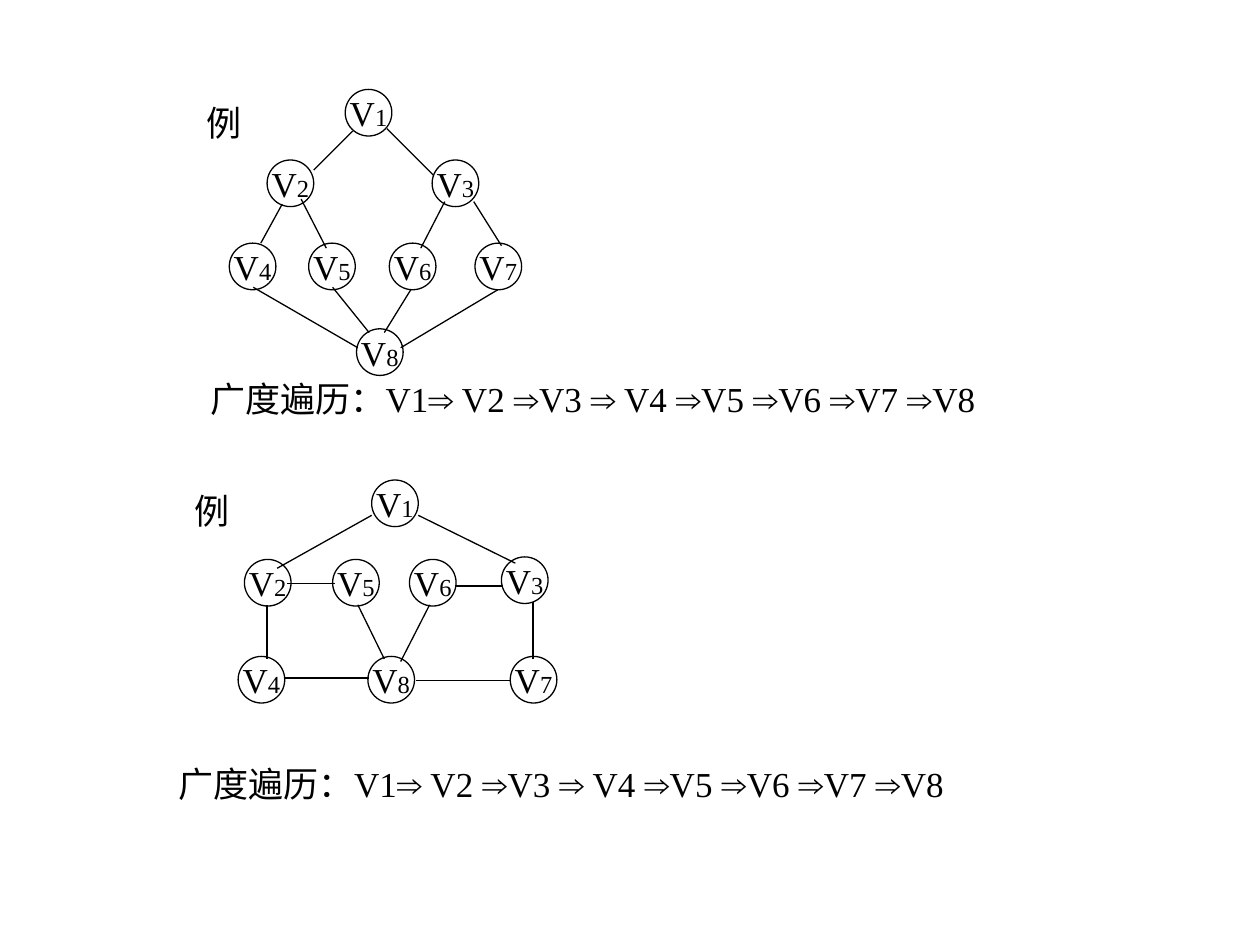
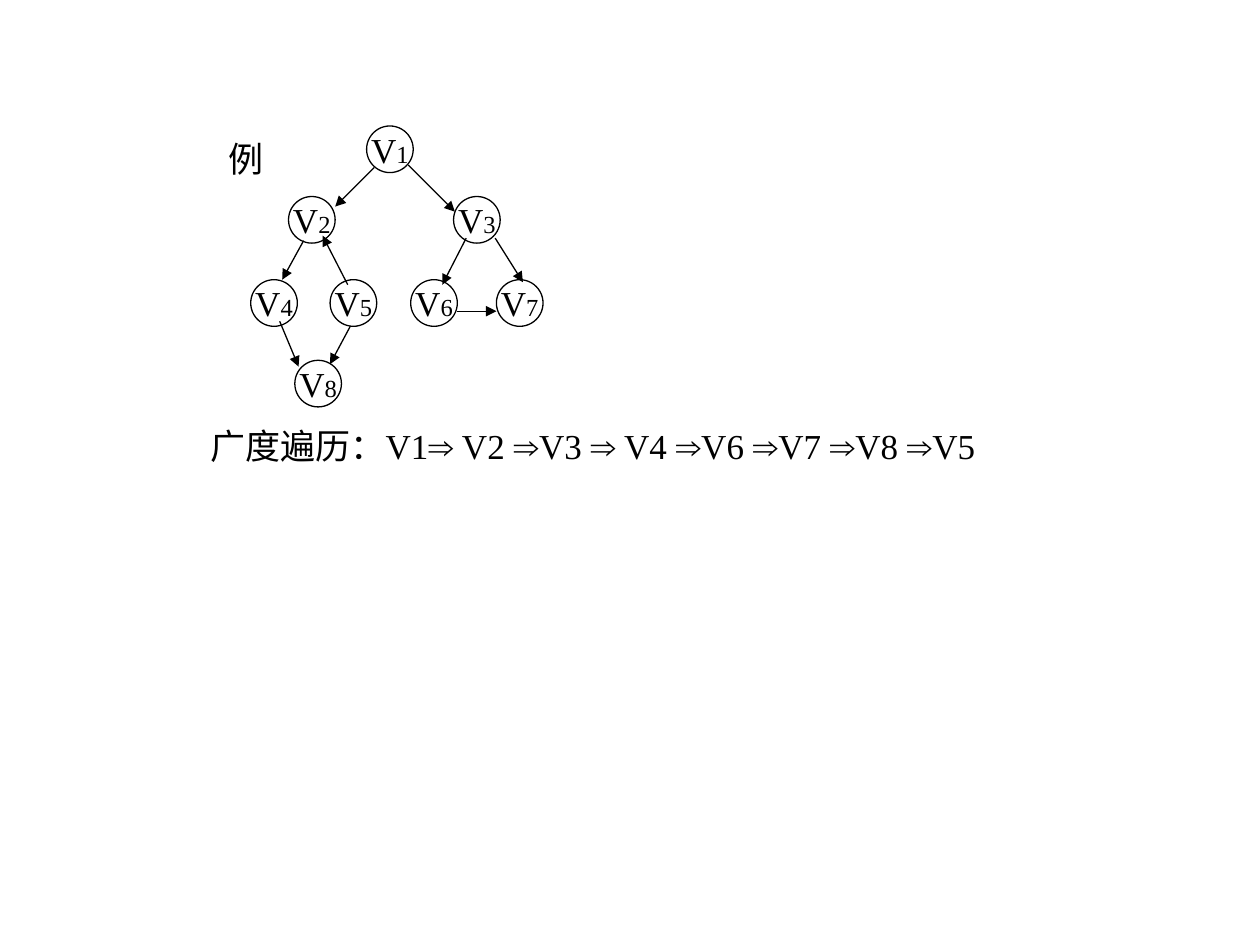
from pptx import Presentation, util as u
from pptx.dml.color import RGBColor
from pptx.enum import shapes, text
from pptx.oxml import ns
from lxml import etree

WIDTH, HEIGHT = u.Inches(10), u.Inches(7.5)
UNIT = WIDTH // 1000
INK = "000000"
SERIF, SYMBOL = "Times New Roman", "Arial"
NODE = 37
ARROW = "⇒"

TREE_NODES = {1: (120, 0), 2: (58, 56), 3: (189, 56), 4: (28, 122),
              5: (91, 122), 6: (155, 122), 7: (223, 122)}
TREE_EDGES = [(126, 33, 95, 64), (153, 31, 190, 68), (70, 91, 53, 122),
              (199, 89, 180, 126), (222, 89, 244, 124)]
V2_V5 = (85, 87, 105, 126)
V5_V2 = V2_V5[2:] + V2_V5[:2]

DIAMOND = dict(
    label=(0, 4),
    nodes={**TREE_NODES, 8: (129, 190)},
    edges=TREE_EDGES + [V2_V5, (110, 157, 139, 193), (172, 159, 151, 193),
                        (47, 157, 130, 205), (241, 159, 164, 205)])
MESH = dict(
    label=(0, 2),
    nodes={1: (151, 0), 2: (50, 63), 3: (254, 61), 4: (45, 140),
           5: (120, 63), 6: (181, 63), 7: (261, 140), 8: (148, 140)},
    edges=[(151, 28, 76, 70), (188, 28, 265, 66), (84, 82, 122, 82),
           (217, 84, 255, 84), (68, 99, 68, 142), (82, 157, 149, 157),
           (186, 159, 261, 159), (279, 97, 279, 142), (140, 99, 161, 142),
           (197, 99, 174, 144)])
DIRECTED = dict(
    label=(0, 4),
    nodes={**TREE_NODES, 8: (63, 186)},
    edges=TREE_EDGES + [V5_V2, (51, 155, 66, 191), (107, 159, 91, 189),
                        (192, 147, 223, 147)],
    arrows=True)

BFS = "广度遍历：V1⇒ V2 ⇒V3 ⇒ V4 ⇒V5 ⇒V6 ⇒V7 ⇒V8"
DIRECTED_BFS = "广度遍历：V1⇒ V2 ⇒V3 ⇒ V4 ⇒V6 ⇒V7 ⇒V8 ⇒V5"


def color(value):
    return RGBColor.from_string(value)


def units(*values):
    return [v * UNIT for v in values]


def write(sp, runs, align, anchor):
    tf = sp.text_frame
    tf.word_wrap = False
    tf.vertical_anchor = anchor
    p = tf.paragraphs[0]
    p.alignment = align
    p.font.size = u.Pt(20)
    p.font.color.rgb = color(INK)
    for content, name, size in runs:
        r = p.add_run()
        r.text = content
        r.font.name = name
        r.font.size = u.Pt(size)
        r.font.color.rgb = color(INK)
    return tf


def outline(sp):
    sp.line.color.rgb = color(INK)
    sp.line.width = u.Pt(0.75)


def add_node(group, x, y, number):
    sp = group.shapes.add_shape(shapes.MSO_SHAPE.OVAL, *units(x, y, NODE, NODE))
    sp.shadow.inherit = False
    sp.fill.background()
    outline(sp)
    write(sp, [("V", SERIF, 20), (str(number), SERIF, 14)],
          text.PP_ALIGN.CENTER, text.MSO_ANCHOR.MIDDLE)


def add_edge(group, ends, arrow):
    cn = group.shapes.add_connector(shapes.MSO_CONNECTOR.STRAIGHT, *units(*ends))
    outline(cn)
    props = cn._element.spPr
    if arrow:
        etree.SubElement(props.find(ns.qn("a:ln")), ns.qn("a:tailEnd"), type="triangle")
    etree.SubElement(props, ns.qn("a:effectLst"))


def add_text(parent, x, y, w, runs, align, anchor):
    sp = parent.shapes.add_textbox(*units(x, y, w, 44))
    tf = write(sp, runs, align, anchor)
    tf.auto_size = text.MSO_AUTO_SIZE.SHAPE_TO_FIT_TEXT


def add_graph(s, left, top, label, nodes, edges, arrows=False):
    group = s.shapes.add_group_shape()
    for number, (x, y) in nodes.items():
        add_node(group, left + x, top + y, number)
    for x1, y1, x2, y2 in edges:
        add_edge(group, (left + x1, top + y1, left + x2, top + y2), arrows)
    add_text(group, left + label[0], top + label[1], 48, [("例", SERIF, 20)],
             text.PP_ALIGN.CENTER, text.MSO_ANCHOR.MIDDLE)


def add_traversal(s, left, top, order):
    first, *rest = order.split(ARROW)
    runs = [(first, SERIF, 20)]
    for step in rest:
        runs += [(ARROW, SYMBOL, 20), (step, SERIF, 20)]
    add_text(s, left, top, 649, runs, text.PP_ALIGN.LEFT, text.MSO_ANCHOR.TOP)


def add_slide(prs, graphs, traversals):
    s = prs.slides.add_slide(prs.slide_layouts[6])
    for left, top, graph in graphs:
        add_graph(s, left, top, **graph)
    for left, top, order in traversals:
        add_traversal(s, left, top, order)


def main():
    prs = Presentation()
    prs.slide_width, prs.slide_height = WIDTH, HEIGHT
    add_slide(prs, [(154, 71, DIAMOND), (144, 381, MESH)],
              [(157, 295, BFS), (132, 600, BFS)])
    add_slide(prs, [(171, 100, DIRECTED)], [(157, 332, DIRECTED_BFS)])
    prs.save("out.pptx")


if __name__ == "__main__":
    main()
